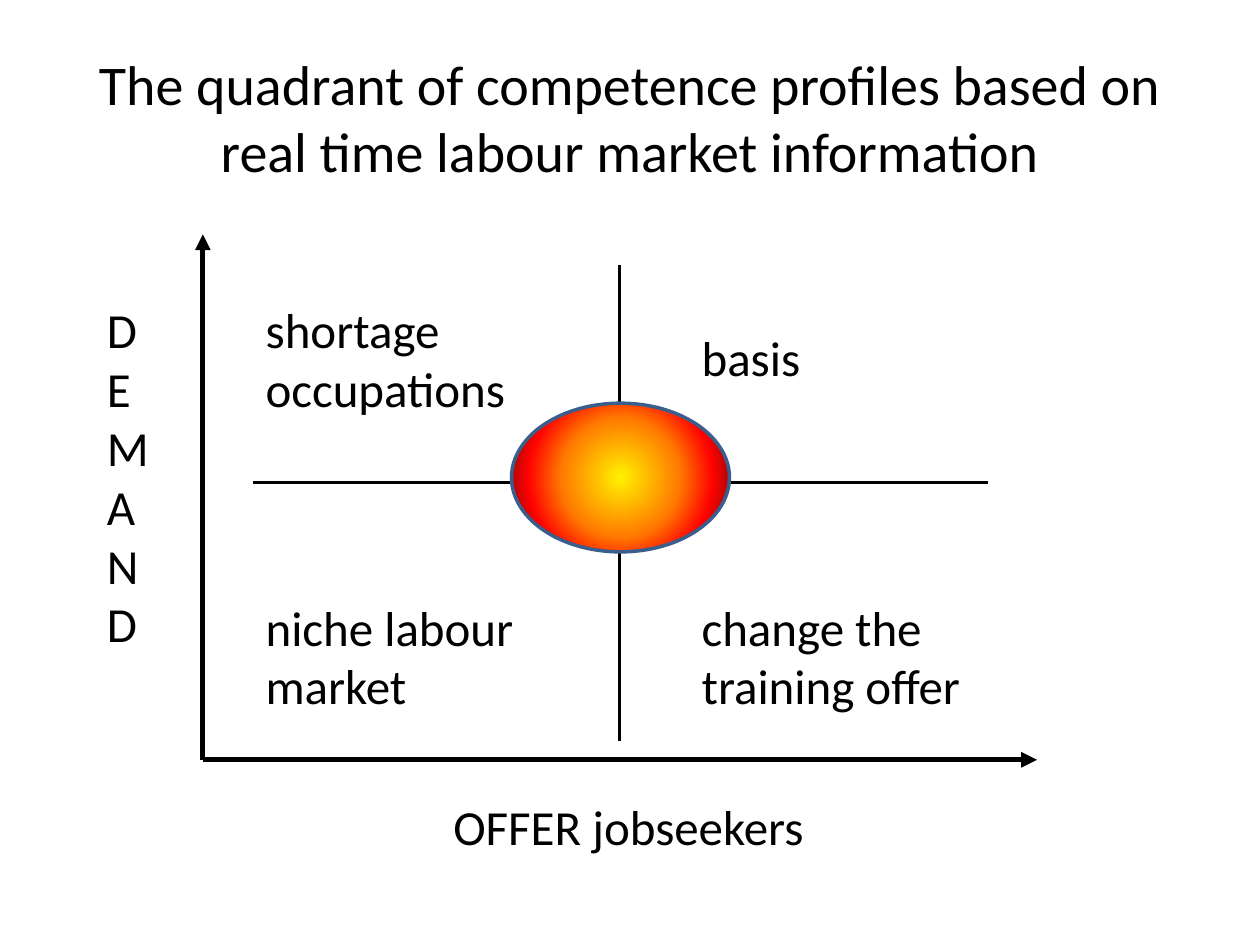
import pptx
import pptx.util
import pptx.dml.color
import pptx.enum.shapes
import pptx.enum.text
import pptx.oxml
import pptx.oxml.ns
from dataclasses import dataclass

Inches, Pt = pptx.util.Inches, pptx.util.Pt


@dataclass(frozen=True)
class Theme:
    """Font, type sizes, colours and line widths of the slide."""
    font: str = "Calibri"
    title_size: int = 32
    label_size: int = 28
    ink: str = "000000"
    core_outline: str = "3A5F8C"
    core_glow: tuple = ((0, "FFF200"), (45, "FF7A00"), (70, "FF0300"), (100, "4D0808"))
    axis_width: float = 3
    core_outline_width: float = 2


THEME = Theme()
HEADLINE = "The quadrant of competence profiles based on real time labour market information"
HEADLINE_BOX = (0.5, 0.3, 9, 1.25)

LEFT_COLUMN, RIGHT_COLUMN = 2.01, 5.47
UPPER_ROW, LOWER_ROW = 2.33, 4.69
# paragraphs, (left, top, width, height)
LABELS = [
    (list("DEMAND"), (0.75, UPPER_ROW, 0.47, 3.3)),
    (["OFFER jobseekers "], (3.5, 6.27, 3.7, 0.57)),
    (["shortage", "occupations"], (LEFT_COLUMN, UPPER_ROW, 2.68, 1.03)),
    (["niche labour", "market "], (LEFT_COLUMN, LOWER_ROW, 2.76, 1.03)),
    (["basis "], (RIGHT_COLUMN, 2.55, 2.36, 0.57)),
    (["change the training offer"], (RIGHT_COLUMN, LOWER_ROW, 2.91, 1.03)),
]

ORIGIN = (1.61, 6.03)
# start, end, width, arrow
LINES = [
    (ORIGIN, (ORIGIN[0], 1.86), THEME.axis_width, True),
    (ORIGIN, (8.23, ORIGIN[1]), THEME.axis_width, True),
    ((4.92, 2.1), (4.92, 5.88), 1.75, False),
    ((2.01, 3.83), (7.84, 3.83), 2, False),
]
CORE_BOX = (4.06, 3.2, 1.73, 1.18)


def rgb(code):
    """Turn a hex code into a colour."""
    return pptx.dml.color.RGBColor.from_string(code)


def inches(values):
    """Turn plain numbers into lengths."""
    return [Inches(value) for value in values]


def write(frame, paragraphs, size, align):
    """Fill a text frame, one run per paragraph."""
    frame.word_wrap = True
    for index, words in enumerate(paragraphs):
        paragraph = frame.add_paragraph() if index else frame.paragraphs[0]
        paragraph.alignment = align
        run = paragraph.add_run()
        run.text = words
        run.font.name = THEME.font
        run.font.size = Pt(size)
        run.font.color.rgb = rgb(THEME.ink)


def add_headline(slide):
    """Place the title in its placeholder."""
    headline = slide.shapes.title
    headline.left, headline.top, headline.width, headline.height = inches(HEADLINE_BOX)
    headline.text_frame.vertical_anchor = pptx.enum.text.MSO_ANCHOR.MIDDLE
    write(headline.text_frame, [HEADLINE], THEME.title_size, pptx.enum.text.PP_ALIGN.CENTER)


def add_label(slide, paragraphs, box):
    """Add an axis or quadrant label."""
    label = slide.shapes.add_textbox(*inches(box))
    write(label.text_frame, paragraphs, THEME.label_size, pptx.enum.text.PP_ALIGN.LEFT)
    label.text_frame.auto_size = pptx.enum.text.MSO_AUTO_SIZE.SHAPE_TO_FIT_TEXT


def add_line(slide, start, end, width, arrow):
    """Add an axis with an arrowhead, or a plain divider."""
    line = slide.shapes.add_connector(
        pptx.enum.shapes.MSO_CONNECTOR.STRAIGHT, *inches(start + end))
    line.line.color.rgb = rgb(THEME.ink)
    line.line.width = Pt(width)
    properties = line._element.spPr
    if arrow:
        head = pptx.oxml.parse_xml(
            f'<a:tailEnd {pptx.oxml.ns.nsdecls("a")} type="triangle"/>')
        properties.find(pptx.oxml.ns.qn("a:ln")).append(head)
    properties.append(pptx.oxml.parse_xml(f'<a:effectLst {pptx.oxml.ns.nsdecls("a")}/>'))


def add_core(slide):
    """Add the glowing ellipse where the quadrants meet."""
    core = slide.shapes.add_shape(pptx.enum.shapes.MSO_SHAPE.OVAL, *inches(CORE_BOX))
    core.shadow.inherit = False
    core.line.color.rgb = rgb(THEME.core_outline)
    core.line.width = Pt(THEME.core_outline_width)
    stops = "".join(f'<a:gs pos="{percent * 1000}"><a:srgbClr val="{code}"/></a:gs>'
                    for percent, code in THEME.core_glow)
    glow = pptx.oxml.parse_xml(
        f'<a:gradFill {pptx.oxml.ns.nsdecls("a")} rotWithShape="1"><a:gsLst>{stops}</a:gsLst>'
        '<a:path path="circle"><a:fillToRect l="50000" t="50000" r="50000" b="50000"/>'
        '</a:path></a:gradFill>')
    core._element.spPr.find(pptx.oxml.ns.qn("a:prstGeom")).addnext(glow)


def build():
    """Build and save the slide."""
    deck = pptx.Presentation()
    deck.slide_width, deck.slide_height = inches((10, 7.5))
    slide = deck.slides.add_slide(deck.slide_layouts[5])
    add_headline(slide)
    for line in LINES:
        add_line(slide, *line)
    for label in LABELS:
        add_label(slide, *label)
    add_core(slide)
    deck.save("out.pptx")


build()
